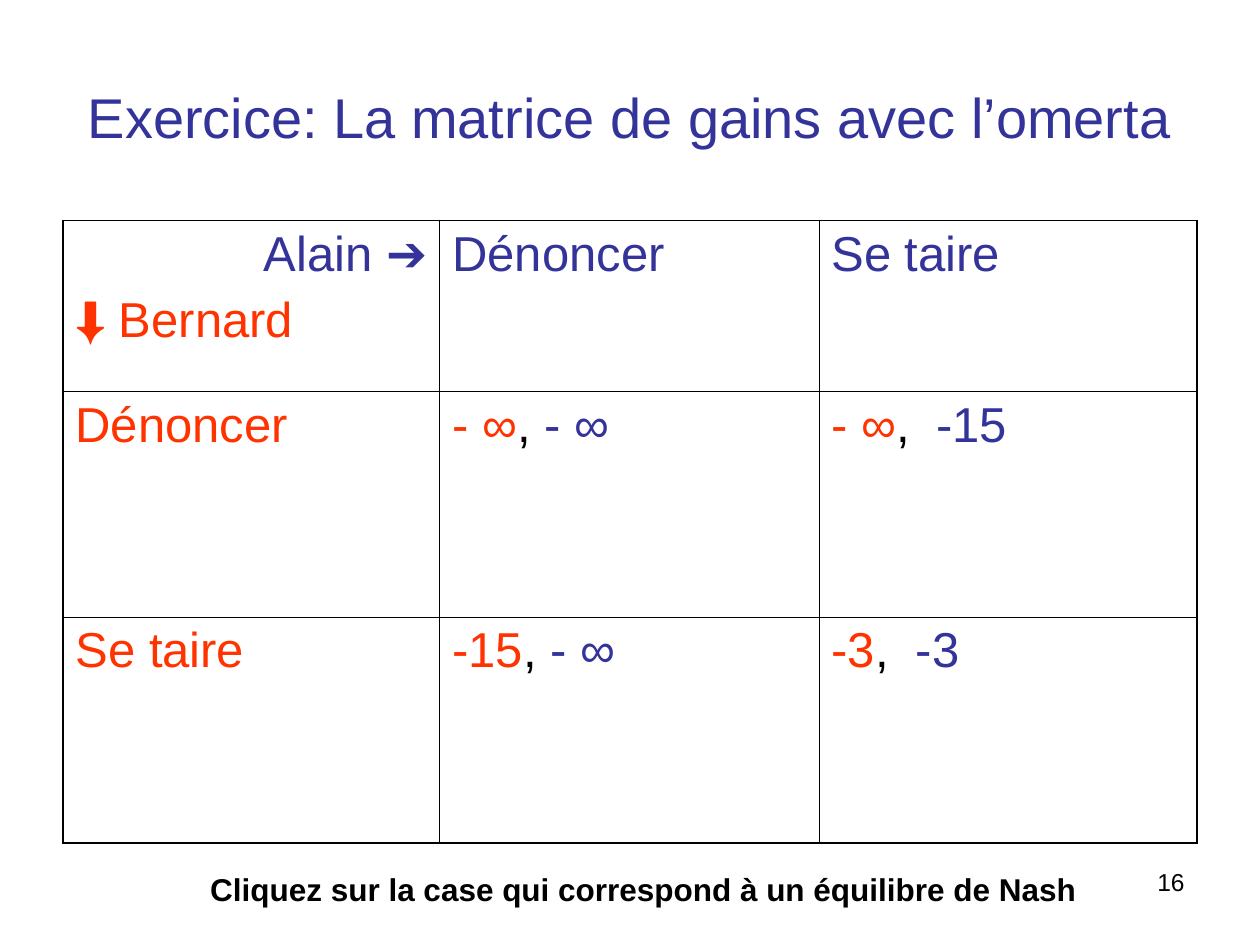
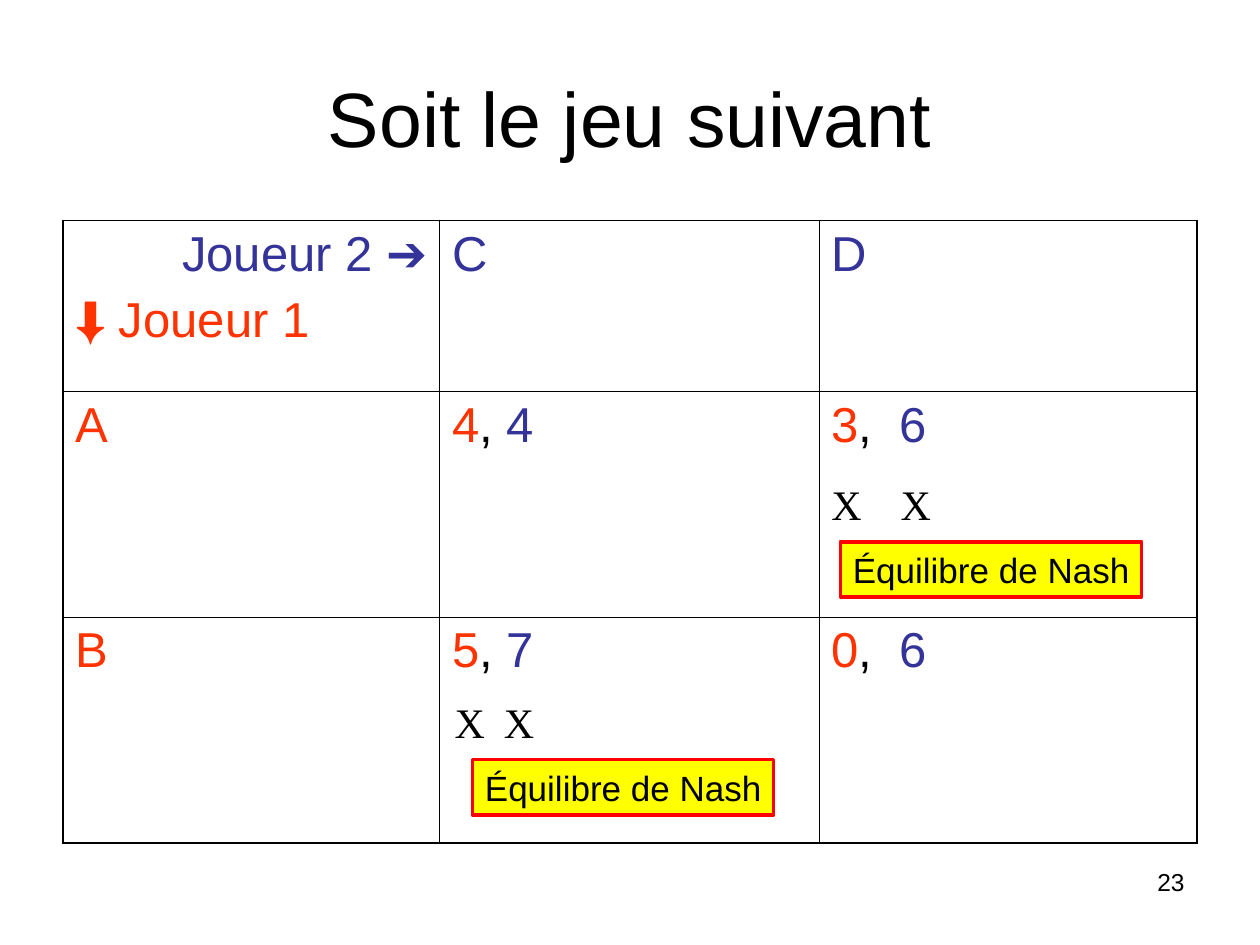
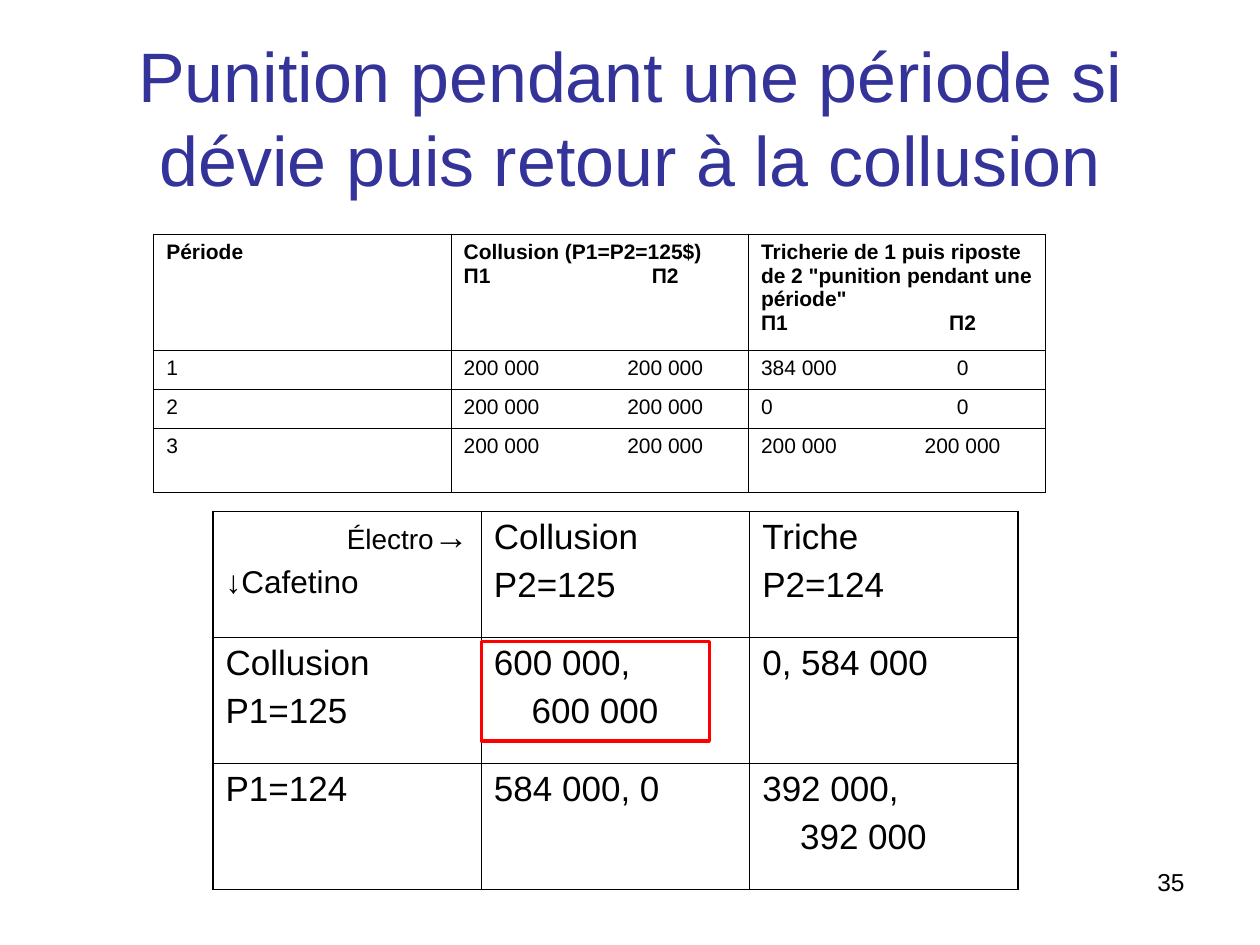
from dataclasses import dataclass

from lxml.etree import SubElement
from pptx import Presentation
from pptx.dml.color import RGBColor
from pptx.enum.shapes import MSO_SHAPE
from pptx.enum.text import MSO_ANCHOR, PP_ALIGN
from pptx.oxml.ns import qn
from pptx.util import Inches, Pt


@dataclass(frozen=True)
class Theme:
    ink: str = "000000"
    blue: str = "333399"
    red: str = "FF3300"
    edge: str = "FF0000"
    glow: str = "FFFF00"
    face: str = "Arial"
    serif: str = "Times New Roman"
    game: int = 28
    gain: int = 20
    small: int = 12
    mark: int = 24
    note: int = 18
    page: int = 14
    thick: float = 1.08
    thin: float = 0.45
    frame: float = 2


T = Theme()


def line(*runs, **form):
    return runs, form


GAMES = [
    dict(
        page="16",
        title="Exercice: La matrice de gains avec l’omerta",
        size=32,
        color=T.blue,
        across="Alain",
        down="Bernard",
        cols=("Dénoncer", "Se taire"),
        rows=("Dénoncer", "Se taire"),
        pays=[
            [("- ∞", "- ∞"), ("- ∞", "-15", 0.83)],
            [("-15", "- ∞"), ("-3", "-3", 0.67)],
        ],
        note="Cliquez sur la case qui correspond à un équilibre de Nash",
        tags=[],
        marks=[],
    ),
    dict(
        page="23",
        title="Soit le jeu suivant",
        size=44,
        color=T.ink,
        across="Joueur 2",
        down="Joueur 1",
        cols=("C", "D"),
        rows=("A", "B"),
        pays=[
            [("4", "4"), ("3", "6", 0.54)],
            [("5", "7"), ("0", "6", 0.54)],
        ],
        note=None,
        tags=[(3.75, 6.03), (6.67, 4.3)],
        marks=[(6.5, 3.75), (7.05, 3.75), (3.51, 5.48), (3.9, 5.48)],
    ),
]
TAG = "Équilibre de Nash"

PLAN = dict(
    page="35",
    title="Punition pendant une période si dévie puis retour à la collusion",
    size=40,
    color=T.blue,
)
PAIR = "Π1\tΠ2"
SAME = "200 000\t200 000"
TERMS = [
    [
        ["Période"],
        ["Collusion (P1=P2=125$)", PAIR],
        ['Tricherie de 1 puis riposte de 2 "punition pendant une période"', PAIR],
    ],
    [["1"], [SAME], ["384 000\t0"]],
    [["2"], [SAME], ["0\t0"]],
    [["3"], [SAME], [SAME]],
]
GAINS = [
    [
        [
            line(("Électro", dict(size=16)), "→", align=PP_ALIGN.RIGHT),
            line("↓Cafetino", size=18, gap=4.5),
        ],
        ["Collusion", "P2=125"],
        ["Triche", "P2=124"],
    ],
    [
        ["Collusion", "P1=125"],
        ["600 000,", line("600 000", dent=0.3)],
        ["0, 584 000"],
    ],
    [
        ["P1=124"],
        ["584 000, 0"],
        ["392 000,", line("392 000", dent=0.3)],
    ],
]


def shade(code):
    return RGBColor.from_string(code)


def say(frame, *lines, **form):
    base = dict(size=T.game, color=T.ink, face=T.face, bold=False,
                align=PP_ALIGN.LEFT, gap=0, tab=None, dent=0)
    for i, item in enumerate(lines):
        runs, own = line(item) if isinstance(item, str) else item
        look = {**base, **form, **own}
        para = frame.paragraphs[0] if i == 0 else frame.add_paragraph()
        para.alignment = look["align"]
        para.space_before = Pt(look["gap"] if i else 0)
        props = para._p.get_or_add_pPr()
        if look["dent"]:
            props.set("marL", str(Inches(look["dent"])))
            props.set("indent", "0")
        if look["tab"]:
            spot, kind = look["tab"]
            stops = SubElement(props, qn("a:tabLst"))
            SubElement(stops, qn("a:tab"), pos=str(Inches(spot)), algn=kind)
        for part in runs:
            text, extra = (part, {}) if isinstance(part, str) else part
            style = {**look, **extra}
            run = para.add_run()
            run.text = text
            run.font.size = Pt(style["size"])
            run.font.name = style["face"]
            run.font.bold = style["bold"]
            run.font.color.rgb = shade(style["color"])


def label(slide, spot, text, wrap=False, **form):
    frame = slide.shapes.add_textbox(*map(Inches, spot)).text_frame
    frame.word_wrap = wrap
    frame.vertical_anchor = form.pop("anchor", MSO_ANCHOR.TOP)
    say(frame, text, **form)


def start(deck, data):
    slide = deck.slides.add_slide(deck.slide_layouts[6])
    label(slide, (7.17, 6.83, 2.33, 0.52), data["page"], wrap=True,
          size=T.page, align=PP_ALIGN.RIGHT)
    label(slide, (0.5, 0.3, 9, 1.25), data["title"], wrap=True,
          size=data["size"], color=data["color"],
          align=PP_ALIGN.CENTER, anchor=MSO_ANCHOR.MIDDLE)
    return slide


def box(slide, spot, fill=None):
    rect = slide.shapes.add_shape(MSO_SHAPE.RECTANGLE, *map(Inches, spot))
    rect.shadow.inherit = False
    if fill:
        rect.fill.solid()
        rect.fill.fore_color.rgb = shade(fill)
    else:
        rect.fill.background()
    rect.line.color.rgb = shade(T.edge)
    rect.line.width = Pt(T.frame)
    return rect


def rule(cell, outer, rim):
    props = cell._tc.get_or_add_tcPr()
    for i, (side, out) in enumerate(zip("LRTB", outer)):
        width = Pt(rim if out else T.thin)
        edge = SubElement(props, qn(f"a:ln{side}"), w=str(width))
        fill = SubElement(edge, qn("a:solidFill"))
        SubElement(fill, qn("a:srgbClr"), val=T.ink)
        props.insert(i, edge)


def grid(slide, left, top, wide, high, cells, rim=T.thick, head=False, **form):
    rows, cols = len(high), len(wide)
    size = map(Inches, (left, top, sum(wide), sum(high)))
    table = slide.shapes.add_table(rows, cols, *size).table
    table.first_row = table.horz_banding = False
    for col, width in zip(table.columns, wide):
        col.width = Inches(width)
    for row, height in zip(table.rows, high):
        row.height = Inches(height)
    for r, row in enumerate(cells):
        for c, lines in enumerate(row):
            cell = table.cell(r, c)
            cell.fill.background()
            outer = (c == 0, c == cols - 1, r == 0, r == rows - 1)
            rule(cell, outer, rim)
            say(cell.text_frame, *lines, bold=head and r == 0, **form)


def pay(mine, yours, stop=None):
    comma = ",\t" if stop else ", "
    tab = (stop, "l") if stop else None
    return [line((mine, dict(color=T.red)), comma,
                 (yours, dict(color=T.blue)), tab=tab)]


def play(deck, data):
    slide = start(deck, data)
    corner = [
        line(data["across"] + " ", ("➔", dict(bold=True)),
             color=T.blue, align=PP_ALIGN.RIGHT),
        line(("⬇", dict(bold=True)), " " + data["down"], color=T.red),
    ]
    cells = [[corner] + [[line(name, color=T.blue)] for name in data["cols"]]]
    for name, pays in zip(data["rows"], data["pays"]):
        cells.append([[line(name, color=T.red)]] + [pay(*pair) for pair in pays])
    grid(slide, 0.5, 1.75, (2.99, 3.01, 3), (1.36, 1.79, 1.79), cells, gap=7)
    if data["note"]:
        label(slide, (1.57, 6.86, 7.14, 0.4), data["note"],
              size=T.note, bold=True)
    for left, top in data["tags"]:
        frame = box(slide, (left, top, 2.39, 0.44), T.glow).text_frame
        frame.word_wrap = False
        say(frame, TAG, size=T.gain)
    for left, top in data["marks"]:
        label(slide, (left, top, 0.44, 0.5), "X", size=T.mark, face=T.serif)


def punish(deck):
    slide = start(deck, PLAN)
    grid(slide, 1.22, 1.86, [2.36] * 3, (0.92, 0.31, 0.31, 0.51), TERMS,
         rim=T.thin, head=True, size=T.small, tab=(1.6, "ctr"))
    grid(slide, 1.69, 4.06, [2.13] * 3, [1] * 3, GAINS, size=T.gain, gap=5)
    box(slide, (3.82, 5.09, 1.81, 0.79))


def main():
    deck = Presentation()
    deck.slide_width, deck.slide_height = Inches(10), Inches(7.5)
    for data in GAMES:
        play(deck, data)
    punish(deck)
    deck.save("out.pptx")


if __name__ == "__main__":
    main()
